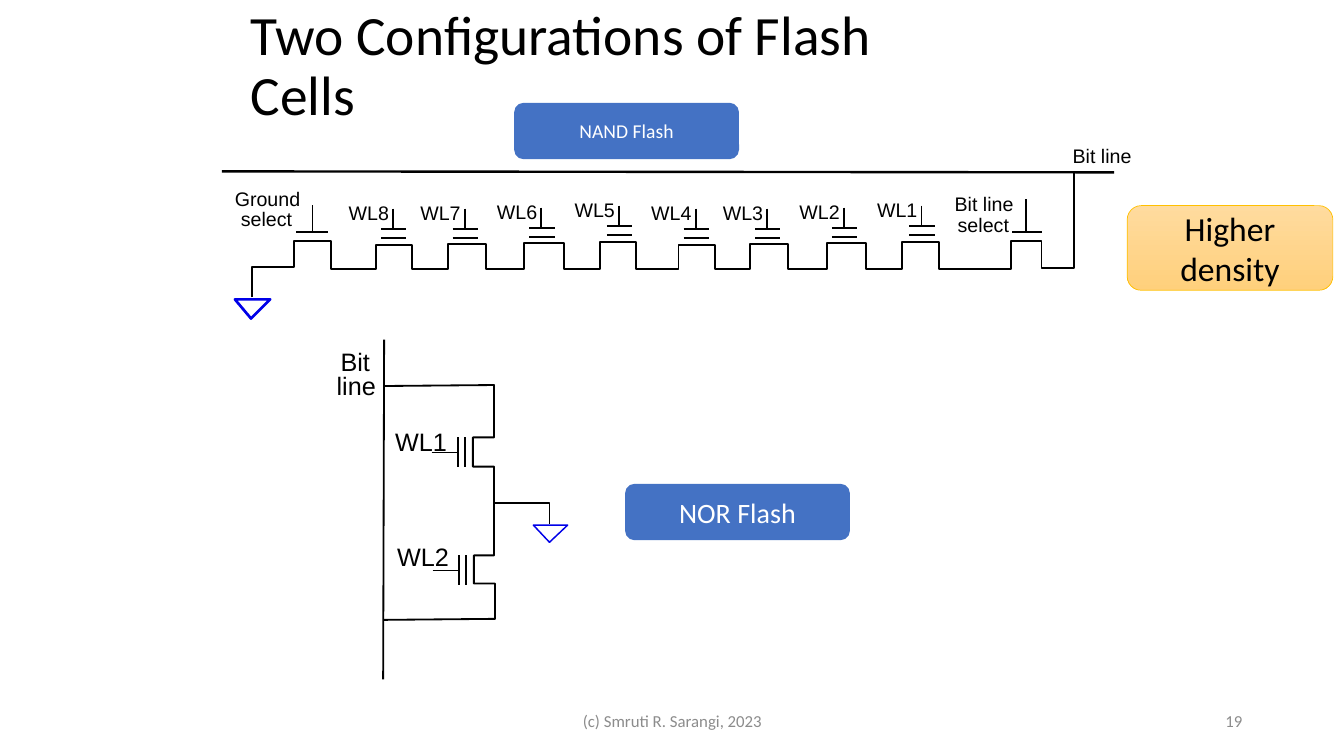
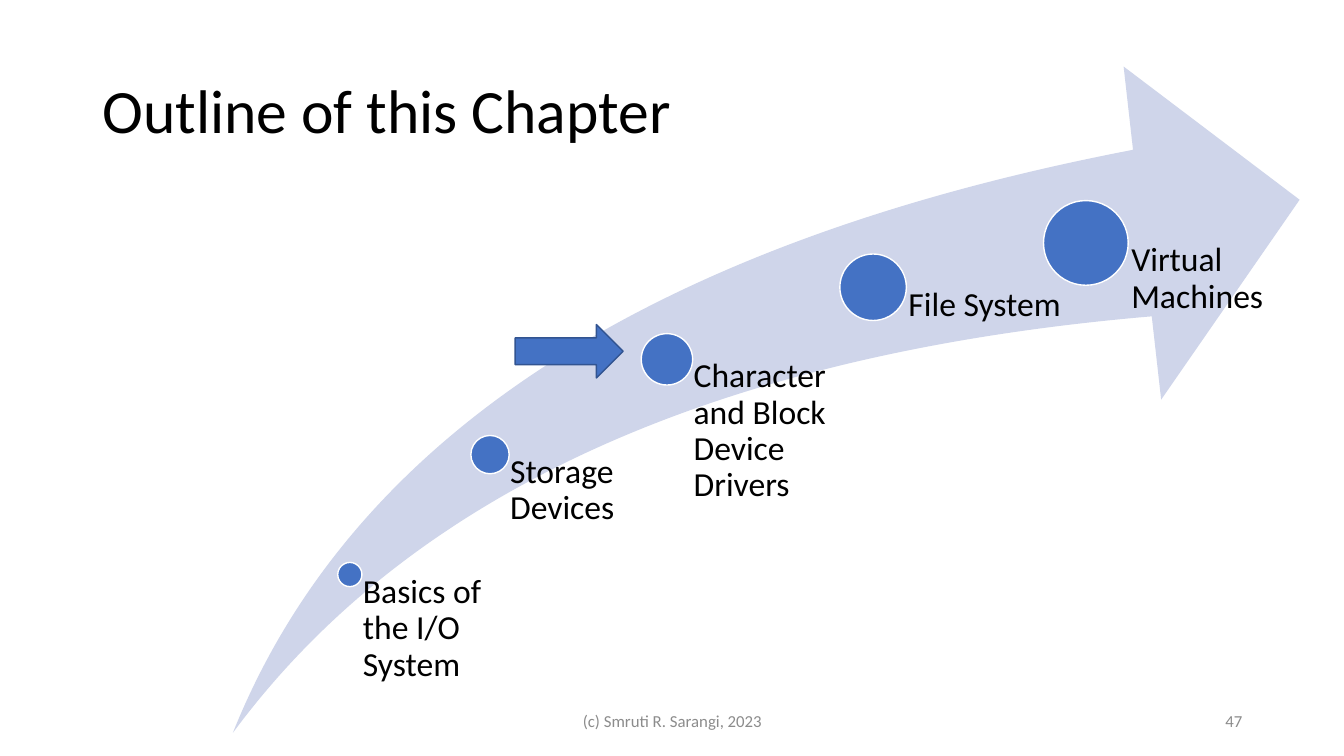
from lxml import etree
from pptx import Presentation
from pptx.dml.color import RGBColor
from pptx.enum.shapes import MSO_CONNECTOR, MSO_SHAPE
from pptx.enum.text import MSO_ANCHOR, MSO_AUTO_SIZE, PP_ALIGN
from pptx.oxml.ns import qn
from pptx.util import Emu, Pt

# Shared style: 100 px to the inch
PX = 9144
BLACK = RGBColor(0x00, 0x00, 0x00)
WHITE = RGBColor(0xFF, 0xFF, 0xFF)
GREY = RGBColor(0x8C, 0x8C, 0x8C)
BLUE = RGBColor(0x44, 0x72, 0xC4)
DARK_BLUE = RGBColor(0x32, 0x54, 0x91)
PALE_BLUE = RGBColor(0xCF, 0xD5, 0xEA)
GROUND_BLUE = RGBColor(0x00, 0x00, 0xE8)
GOLD = RGBColor(0xFF, 0xC0, 0x00)
LIGHT_AMBER = RGBColor(0xFF, 0xDB, 0x9E)
AMBER = RGBColor(0xFF, 0xD0, 0x7C)
BODY, DIAGRAM = "Calibri", "Arial"
FOOTER = "(c) Smruti R. Sarangi, 2023"

# NAND content: label left, label top, channel left, right and top.
# The four cells repeat once, further to the right.
NAND_CELLS = [(336, 194, 373, 409, 243), (407, 194, 444, 482, 242),
              (483, 193, 520, 559, 241), (560, 191, 595, 631, 240)]
NAND_REPEAT = 300
CHANNEL_BASE = 267
GROUND_SELECT = [(250, 295), (250, 265), (292, 265), (292, 239), (328, 239),
                 (328, CHANNEL_BASE)]
BIT_LINE_SELECT = [(1003, CHANNEL_BASE), (1003, 239), (1033, 239), (1033, 266),
                   (1065, 266), (1065, 171)]
NAND_LINES = [(220, 170, 1105, 171, 1.69), (1004, 230, 1033, 230, 1.34),
              (1018, 231, 1018, 197, 1.34), (294, 230, 325, 230, 1.34),
              (310, 229, 310, 203, 1)]
NAND_LABELS = [("Bit line", 937, 186, 79), ("select", 940, 206, 71),
               ("Ground", 223, 181, 85), ("select", 229, 200, 71),
               ("Bit line", 1054, 138, 79)]

# NOR content
NOR_CHANNEL = [(380, 383), (490, 382), (490, 434), (469, 434), (469, 463),
               (490, 463), (490, 551), (470, 551), (470, 579), (491, 579),
               (491, 614), (380, 615)]
NOR_TAP = [(490, 499), (545, 499), (545, 520)]
NOR_GATES = [(454, 434), (455, 551)]
NOR_LABELS = [("WL1", 382, 418, 72), ("WL2", 384, 532, 72),
              ("Bit", 328, 339, 50), ("line", 324, 362, 59)]

# Outline content: name, circle left, top and diameter, text width
MILESTONES = [("Basics of the I/O System", 335, 558, 24, 139),
              ("Storage Devices", 467, 432, 38, 176),
              ("Character and Block Device Drivers", 636, 331, 51, 204),
              ("File System", 833, 252, 66, 212),
              ("Virtual Machines", 1035, 199, 84, 212)]
SWOOSH = (231, 66, 1058, 661)


def px(*lengths):
    return [Emu(length * PX) for length in lengths]


def write(frame, text, size, font=BODY, color=BLACK, align=PP_ALIGN.LEFT, spacing=None):
    para = frame.paragraphs[0]
    para.alignment = align
    if spacing:
        para.line_spacing = spacing
    span = para.add_run()
    span.text = text
    span.font.size, span.font.name = Pt(size), font
    span.font.color.rgb = color


def add_text(page, text, place, size, anchor=MSO_ANCHOR.MIDDLE, **style):
    box = page.shapes.add_textbox(*px(*place))
    frame = box.text_frame
    frame.word_wrap = True
    frame.vertical_anchor = anchor
    write(frame, text, size, **style)
    return frame


def add_label(page, text, left, top, width, height, size):
    frame = add_text(page, text, (left, top, width, height), size,
                     anchor=MSO_ANCHOR.TOP, font=DIAGRAM)
    frame.word_wrap = False
    frame.auto_size = MSO_AUTO_SIZE.SHAPE_TO_FIT_TEXT


def set_line(shape, color, width):
    if color is None:
        shape.line.fill.background()
    else:
        shape.line.color.rgb = color
        shape.line.width = Pt(width)


def add_preset(page, kind, place, fill, line=None, width=1):
    shape = page.shapes.add_shape(kind, *px(*place))
    shape.shadow.inherit = False
    shape.fill.solid()
    shape.fill.fore_color.rgb = fill
    set_line(shape, line, width)
    return shape


def add_button(page, text, place, size, color=WHITE, fill=BLUE):
    shape = add_preset(page, MSO_SHAPE.ROUNDED_RECTANGLE, place, fill)
    shape.text_frame.word_wrap = True
    shape.text_frame.vertical_anchor = MSO_ANCHOR.MIDDLE
    write(shape.text_frame, text, size, color=color, align=PP_ALIGN.CENTER)
    return shape


def add_wire(page, x1, y1, x2, y2, width):
    wire = page.shapes.add_connector(MSO_CONNECTOR.STRAIGHT, *px(x1, y1, x2, y2))
    set_line(wire, BLACK, width)
    etree.SubElement(wire.element.spPr, qn("a:effectLst"))


def add_outline(page, points, width, color=BLACK, close=False):
    builder = page.shapes.build_freeform(*points[0], scale=PX)
    builder.add_line_segments(points[1:], close=close)
    shape = builder.convert_to_shape()
    shape.shadow.inherit = False
    shape.fill.background()
    set_line(shape, color, width)


def add_page(deck, title, title_place, title_size, number):
    page = deck.slides.add_slide(deck.slide_layouts[6])
    add_text(page, title, title_place, title_size, spacing=0.9)
    add_text(page, FOOTER, (442, 695, 450, 40), 12, color=GREY, align=PP_ALIGN.CENTER)
    add_text(page, str(number), (942, 695, 300, 40), 12, color=GREY, align=PP_ALIGN.RIGHT)
    return page


def draw_nand(page):
    cells = [(left + shift, top, start + shift, end + shift, crest)
             for shift in (0, NAND_REPEAT)
             for left, top, start, end, crest in NAND_CELLS]
    channel = list(GROUND_SELECT)
    for index, (left, top, start, end, crest) in enumerate(cells):
        channel += [(start, CHANNEL_BASE), (start, crest), (end, crest), (end, CHANNEL_BASE)]
        # Two gate bars and the stem hang from the label position
        for drop in (42, 33):
            add_wire(page, left + 42, top + drop, left + 67, top + drop, 1.34)
        add_wire(page, left + 54, top + 13, left + 54, top + 32, 1.34)
        add_label(page, f"WL{len(cells) - index}", left, top, 61, 34, 14)
    add_outline(page, channel + BIT_LINE_SELECT, 1.34)
    for line in NAND_LINES:
        add_wire(page, *line)
    for label in NAND_LABELS:
        add_label(page, *label, 34, 14)
    add_outline(page, [(233, 297), (268, 297), (249, 316)], 1.92, GROUND_BLUE, close=True)
    add_button(page, "NAND Flash", (510, 102, 223, 56), 14)


def draw_nor(page):
    add_wire(page, 380, 674, 381, 337, 1.3)
    add_outline(page, NOR_CHANNEL, 1.3)
    add_outline(page, NOR_TAP, 1.3)
    for left, top in NOR_GATES:
        for bar in (left, left + 7):
            add_wire(page, bar, top, bar, top + 29, 1.3)
        add_wire(page, left - 26, top + 15, left, top + 15, 1.3)
    for label in NOR_LABELS:
        add_label(page, *label, 40, 18)
    add_outline(page, [(529, 521), (563, 521), (545, 538)], 1.05, GROUND_BLUE, close=True)
    add_button(page, "NOR Flash", (620, 480, 223, 56), 20)


def build_flash(deck):
    page = add_page(deck, "Two Configurations of Flash Cells", (239, 22, 740, 90), 39.6, 19)
    draw_nand(page)
    draw_nor(page)
    badge = add_button(page, "Higher density", (1118, 204, 204, 84), 24, BLACK)
    badge.fill.gradient()
    badge.fill.gradient_angle = 270
    for stop, color in zip(badge.fill.gradient_stops, (LIGHT_AMBER, AMBER)):
        stop.color.rgb = color
    set_line(badge, GOLD, 0.5)


def build_outline(deck):
    page = add_page(deck, "Outline of this Chapter", (92, 40, 1150, 145), 44, 47)
    swoosh = add_preset(page, MSO_SHAPE.SWOOSH_ARROW, SWOOSH, PALE_BLUE)
    swoosh.adjustments[0] = swoosh.adjustments[1] = 0.25
    bottom = SWOOSH[1] + SWOOSH[3]
    for name, left, top, size, width in MILESTONES:
        add_preset(page, MSO_SHAPE.OVAL, (left, top, size, size), BLUE, WHITE)
        # The text box starts at the centre of its circle
        middle = top + size // 2
        frame = add_text(page, name, (left + size // 2, middle, width, bottom - middle), 24,
                         anchor=MSO_ANCHOR.TOP, spacing=0.9)
        frame.margin_left = Emu(round(size * 0.53) * PX)
        frame.margin_top = frame.margin_right = frame.margin_bottom = 0
    # Marker for the current part
    add_preset(page, MSO_SHAPE.RIGHT_ARROW, (511, 322, 107, 53), BLUE, DARK_BLUE)


def main():
    deck = Presentation()
    deck.slide_width, deck.slide_height = px(1333, 750)
    build_flash(deck)
    build_outline(deck)
    deck.save("out.pptx")


if __name__ == "__main__":
    main()
